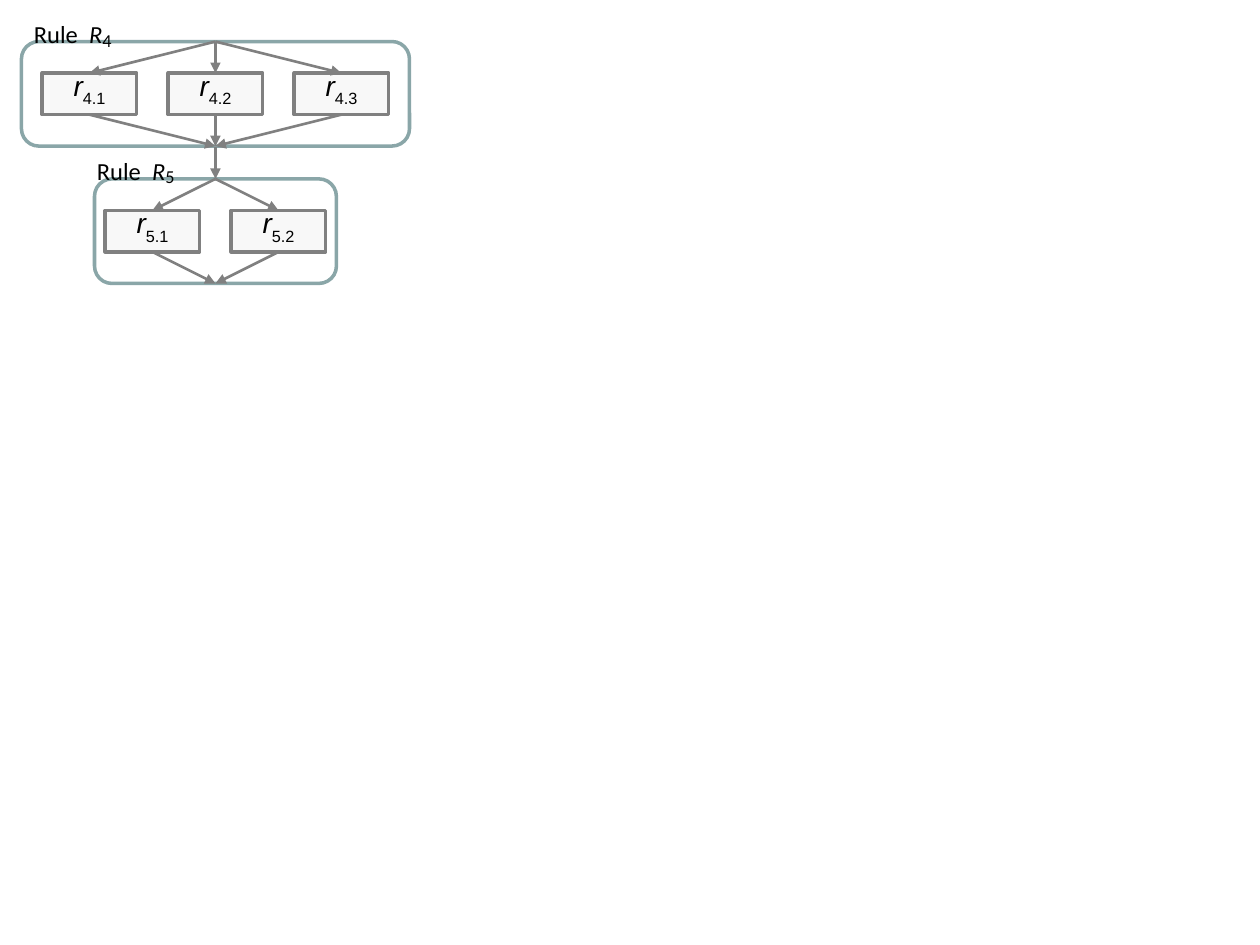
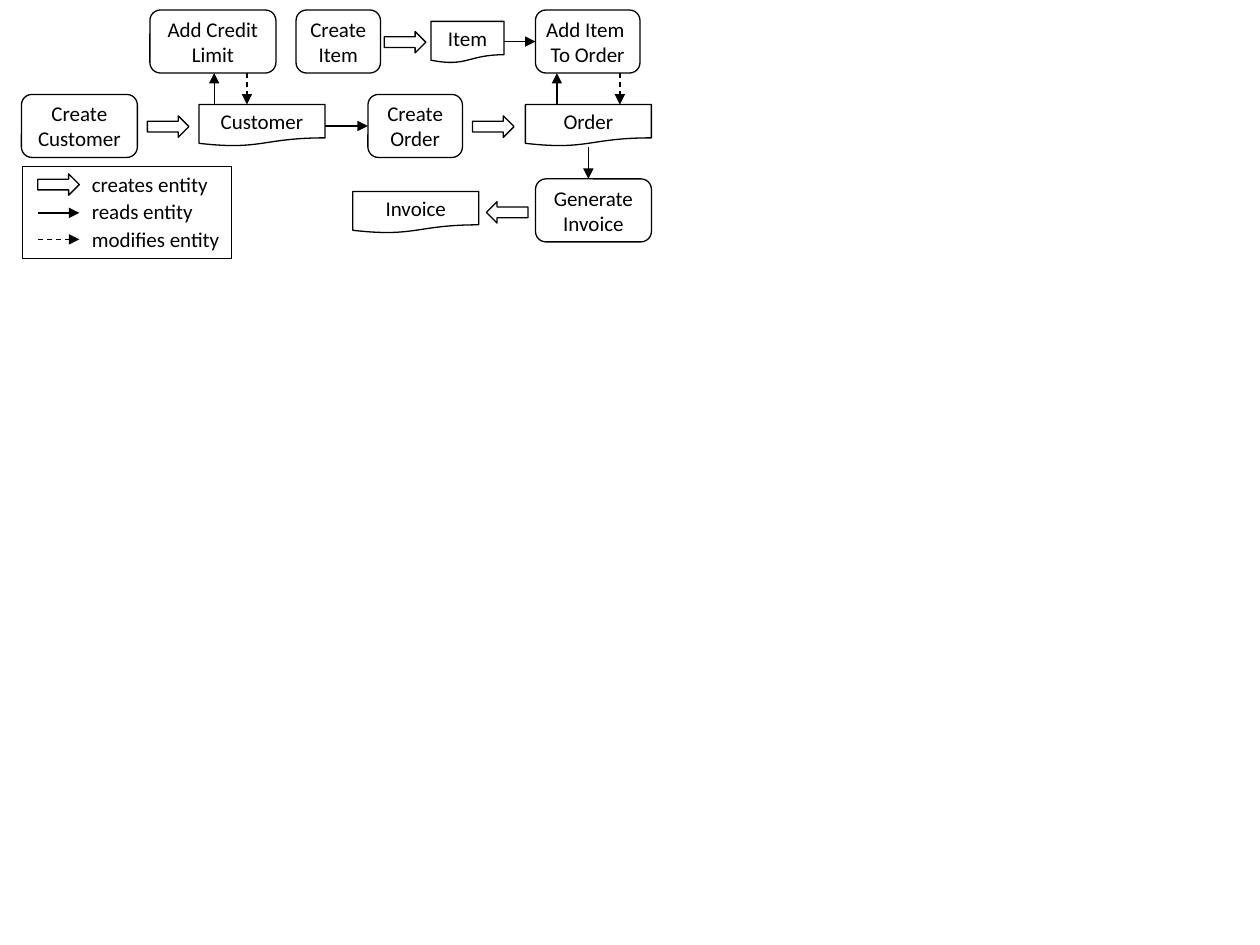
import pptx
import pptx.util
import pptx.dml.color
import pptx.enum.dml
import pptx.enum.shapes
import pptx.enum.text
import pptx.oxml
import pptx.oxml.ns
import lxml.etree

Inches = pptx.util.Inches
Pt = pptx.util.Pt
RGB = pptx.dml.color.RGBColor.from_string
KIND = pptx.enum.shapes.MSO_SHAPE
ALIGN = pptx.enum.text.PP_ALIGN
qn = pptx.oxml.ns.qn

COLORS = {"ink": "000000", "frame": "8AA6A8", "gray": "808080", "fill": "D9D9D9"}

deck = pptx.Presentation()
deck.slide_width, deck.slide_height = Inches(10), Inches(7.5)
blank = deck.slide_layouts[6]


def box(slide, kind, place, color="ink", width=0.75, text=""):
    """Add an outlined shape with centred 12 pt text."""
    shape = slide.shapes.add_shape(kind, *[Inches(n) for n in place])
    shape.shadow.inherit = False
    shape.fill.background()
    shape.line.color.rgb = RGB(COLORS[color])
    shape.line.width = Pt(width)
    if text:
        frame = shape.text_frame
        frame.text = text
        frame.word_wrap = False
        frame.vertical_anchor = pptx.enum.text.MSO_ANCHOR.MIDDLE
        for para in frame.paragraphs:
            para.alignment = ALIGN.CENTER
            para.font.size = Pt(12)
            para.font.name = "Calibri"
            para.font.color.rgb = RGB(COLORS["ink"])
    return shape


def arrow(slide, start, end, color="ink", width=0.75, dash=False):
    """Add a straight line with a triangle head at its end."""
    line = slide.shapes.add_connector(
        pptx.enum.shapes.MSO_CONNECTOR.STRAIGHT,
        *[Inches(n) for n in (*start, *end)])
    line.line.color.rgb = RGB(COLORS[color])
    line.line.width = Pt(width)
    if dash:
        line.line.dash_style = pptx.enum.dml.MSO_LINE.DASH
    head = lxml.etree.SubElement(line.line._get_or_add_ln(), qn("a:tailEnd"))
    head.set("type", "triangle")
    lxml.etree.SubElement(line._element.spPr, qn("a:effectLst"))


# Slide 1: two rules, each split into parallel parts
slide = deck.slides.add_slide(blank)
mid = 1.71
gap = 0.25
rules = [
    # number, parts, frame left, top and width, label left and top
    (4, 3, 0.17, 0.33, 3.08, 0.17, 0.05),
    (5, 2, 0.75, 1.42, 1.92, 0.67, 1.13),
]
for rule, count, left, top, wide, tag_x, tag_y in rules:
    base = top + 0.83
    box(slide, KIND.ROUNDED_RECTANGLE, (left, top, wide, 0.83), "frame", 2)
    for part in range(count):
        x = mid + part - (count - 1) / 2
        shape = box(slide, KIND.RECTANGLE, (x - 0.375, top + gap, 0.75, 0.33),
                    "gray", 2, "r")
        shape.fill.solid()
        shape.fill.fore_color.rgb = RGB(COLORS["fill"])
        tint = shape._element.spPr.find(qn("a:solidFill"))[0]
        lxml.etree.SubElement(tint, qn("a:alpha")).set("val", "17000")
        shape.text_frame.word_wrap = True
        shape.text_frame.margin_bottom = Inches(0.14)
        para = shape.text_frame.paragraphs[0]
        para.font.size = Pt(16)
        para.font.name = "Arial"
        para.runs[0].font.italic = True
        sub = para.add_run()
        sub.text = f"{rule}.{part + 1}"
        sub._r.get_or_add_rPr().set("baseline", "-30000")
        for run in para.runs:
            run.font.size = Pt(16)
            run.font.name = "Arial"
            run.font.color.rgb = RGB(COLORS["ink"])
        arrow(slide, (mid, top), (x, top + gap), "gray", 1.5)
        arrow(slide, (x, base - gap), (mid, base), "gray", 1.5)

    label = slide.shapes.add_textbox(
        Inches(tag_x), Inches(tag_y), Inches(0.92), Inches(0.33))
    label.text_frame.word_wrap = True
    para = label.text_frame.paragraphs[0]
    for text, size in (("Rule  ", 14), ("R", 14), (str(rule), 18)):
        run = para.add_run()
        run.text = text
        run.font.size = Pt(size)
        run.font.name = "Calibri"
        run.font.italic = text == "R"
        run.font.color.rgb = RGB(COLORS["ink"])
    run._r.get_or_add_rPr().set("baseline", "-10000")
arrow(slide, (mid, 1.17), (mid, 1.42), "gray", 1.5)

# Slide 2: tasks, the entities they use, and a legend
slide = deck.slides.add_slide(blank)
tasks = [
    ("Create\nCustomer", 0.17, 0.75, 0.92),
    ("Add Credit\nLimit", 1.19, 0.08, 1),
    ("Create\nOrder", 2.92, 0.75, 0.75),
    ("Create\nItem", 2.35, 0.08, 0.67),
    ("Add Item \nTo Order", 4.25, 0.08, 0.83),
    ("Generate\nInvoice", 4.25, 1.42, 0.92),
]
for text, x, y, wide in tasks:
    box(slide, KIND.ROUNDED_RECTANGLE, (x, y, wide, 0.5), text=text)

items = [
    ("Customer", 1.58, 0.83, 1),
    ("Order", 4.17, 0.83, 1),
    ("Item", 3.42, 0.17, 0.58),
    ("Invoice", 2.8, 1.52, 1),
]
for text, x, y, wide in items:
    box(slide, KIND.FLOWCHART_DOCUMENT, (x, y, wide, 0.33), text=text)

makes = [(1.17, 0.92, 0), (3.75, 0.92, 0), (3.05, 0.25, 0),
         (3.86, 1.6, 180), (0.3, 1.38, 0)]
for x, y, turn in makes:
    shape = box(slide, KIND.RIGHT_ARROW, (x, y, 0.33, 0.17))
    shape.rotation = turn

reads = [
    ((1.7, 0.83), (1.7, 0.58)),
    ((4.42, 0.83), (4.42, 0.58)),
    ((2.58, 1), (2.92, 1)),
    ((4, 0.33), (4.25, 0.33)),
    ((4.67, 1.17), (4.67, 1.42)),
    ((0.3, 1.69), (0.63, 1.69)),
]
for start, end in reads:
    arrow(slide, start, end)

edits = [
    ((1.96, 0.58), (1.96, 0.83)),
    ((4.92, 0.58), (4.92, 0.83)),
    ((0.3, 1.9), (0.63, 1.9)),
]
for start, end in edits:
    arrow(slide, start, end, dash=True)

box(slide, KIND.RECTANGLE, (0.18, 1.32, 1.66, 0.73))
for row, verb in enumerate(("creates", "reads", "modifies")):
    label = slide.shapes.add_textbox(
        Inches(0.63), Inches(1.31 + 0.22 * row), Inches(1.25), Inches(0.3))
    label.text_frame.word_wrap = True
    label.text_frame.text = f"{verb} entity"
    font = label.text_frame.paragraphs[0].runs[0].font
    font.size = Pt(12)
    font.name = "Calibri"
    font.color.rgb = RGB(COLORS["ink"])

deck.save("out.pptx")
